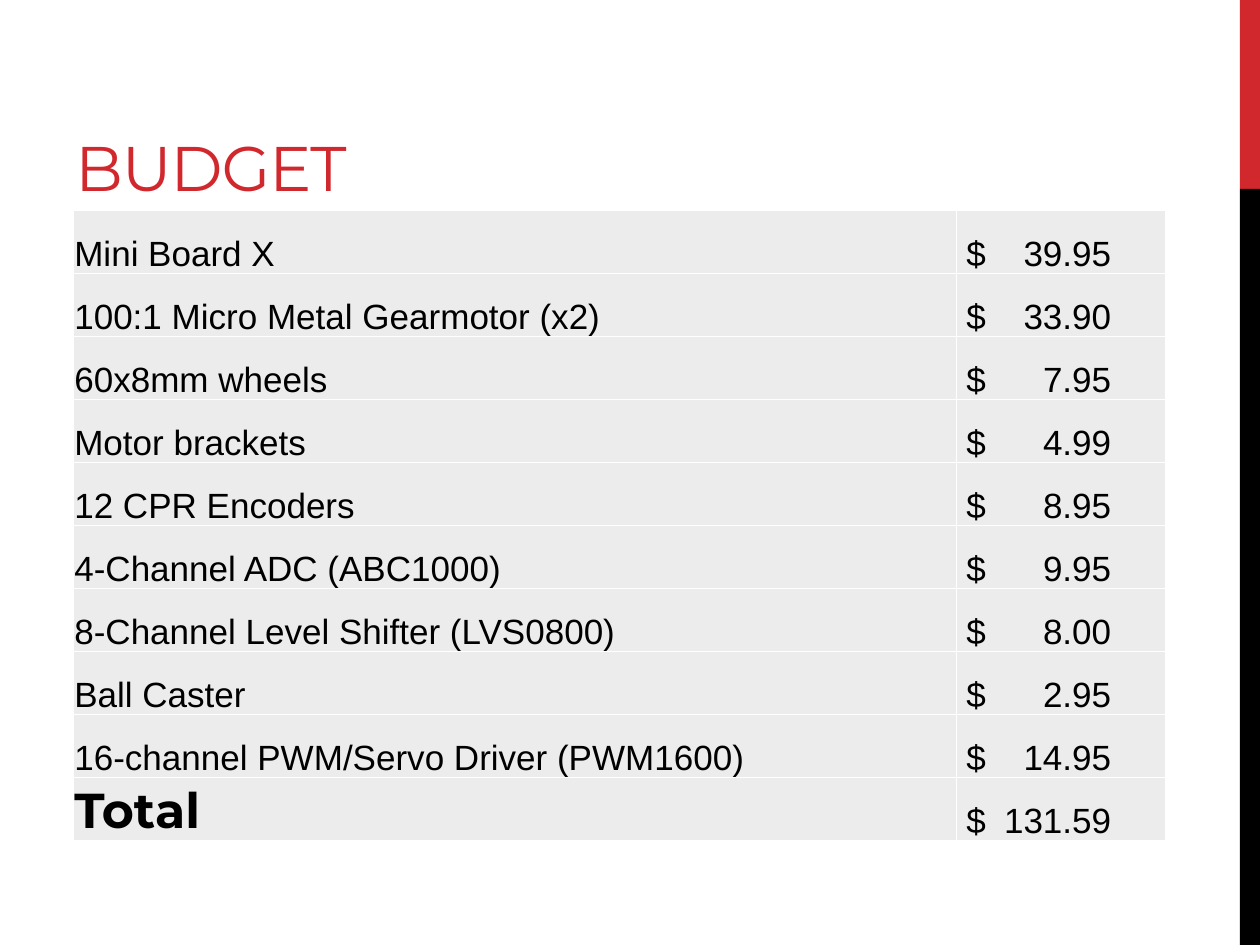
from lxml import etree
from pptx import Presentation
from pptx import util as u
from pptx.dml import color
from pptx.enum import shapes, text
from pptx.oxml import ns

RED, BLACK, WHITE, GREY = "D1282E", "000000", "FFFFFF", "ECECEC"
ITEMS = [
    ("Mini Board X", "39.95"),
    ("100:1 Micro Metal Gearmotor (x2)", "33.90"),
    ("60x8mm wheels", "7.95"),
    ("Motor brackets", "4.99"),
    ("12 CPR Encoders", "8.95"),
    ("4-Channel ADC (ABC1000)", "9.95"),
    ("8-Channel Level Shifter (LVS0800)", "8.00"),
    ("Ball Caster", "2.95"),
    ("16-channel PWM/Servo Driver (PWM1600)", "14.95"),
    ("Total", "131.59"),
]


def rgb(code):
    return color.RGBColor.from_string(code)


def style(para, size, font, tint, bold=False):
    for run in para.runs:
        run.font.size = u.Pt(size)
        run.font.name = font
        run.font.bold = bold
        run.font.color.rgb = rgb(tint)


def bar(slide, top, high, tint):
    box = slide.shapes.add_shape(
        shapes.MSO_SHAPE.RECTANGLE,
        u.Inches(9.84), u.Inches(top), u.Inches(0.16), u.Inches(high))
    box.shadow.inherit = False
    box.fill.solid()
    box.fill.fore_color.rgb = rgb(tint)
    box.line.fill.background()


def title(slide, words):
    box = slide.shapes.add_textbox(
        u.Inches(0.5), u.Inches(0.17), u.Inches(6.33), u.Inches(1.5))
    frame = box.text_frame
    frame.word_wrap = True
    frame.vertical_anchor = text.MSO_ANCHOR.BOTTOM
    frame.text = words
    para = frame.paragraphs[0]
    style(para, 36, "Montserrat", RED)
    para.runs[0].font._element.set("spc", "-60")


def edges(cell):
    props = cell._tc.get_or_add_tcPr()
    for spot, side in enumerate(("lnL", "lnR", "lnT", "lnB")):
        line = etree.Element(ns.qn("a:" + side), w=str(u.Pt(1)))
        fill = etree.SubElement(line, ns.qn("a:solidFill"))
        etree.SubElement(fill, ns.qn("a:srgbClr"), val=WHITE)
        props.insert(spot, line)


def fill(cell, words, left=0.01):
    cell.text_frame.text = words
    cell.vertical_anchor = text.MSO_ANCHOR.BOTTOM
    cell.margin_left = u.Inches(left)
    cell.margin_right = cell.margin_top = u.Inches(0.01)
    cell.margin_bottom = 0
    cell.fill.solid()
    cell.fill.fore_color.rgb = rgb(GREY)
    edges(cell)
    para = cell.text_frame.paragraphs[0]
    style(para, 20, "Arial", BLACK)
    return para


def price(cell, value):
    para = fill(cell, "$\t" + value, 0.08)
    stops = etree.SubElement(para._p.get_or_add_pPr(), ns.qn("a:tabLst"))
    etree.SubElement(stops, ns.qn("a:tab"), pos=str(u.Inches(1.15)), algn="r")


def budget(slide):
    table = slide.shapes.add_table(
        len(ITEMS), 2, u.Inches(0.58), u.Inches(1.67),
        u.Inches(8.67), u.Inches(5)).table
    table.first_row = table.horz_banding = False
    for col, wide in zip(table.columns, (7.01, 1.66)):
        col.width = u.Inches(wide)
    for row, (name, value) in zip(table.rows, ITEMS):
        row.height = u.Inches(0.5)
        label = fill(row.cells[0], name)
        price(row.cells[1], value)
    style(label, 28, "Montserrat", BLACK, True)


def main():
    deck = Presentation()
    deck.slide_width, deck.slide_height = u.Inches(10), u.Inches(7.5)
    slide = deck.slides.add_slide(deck.slide_layouts[6])
    bar(slide, 0, 1.5, RED)
    bar(slide, 1.5, 6, BLACK)
    title(slide, "BUDGET")
    budget(slide)
    deck.save("out.pptx")


main()
